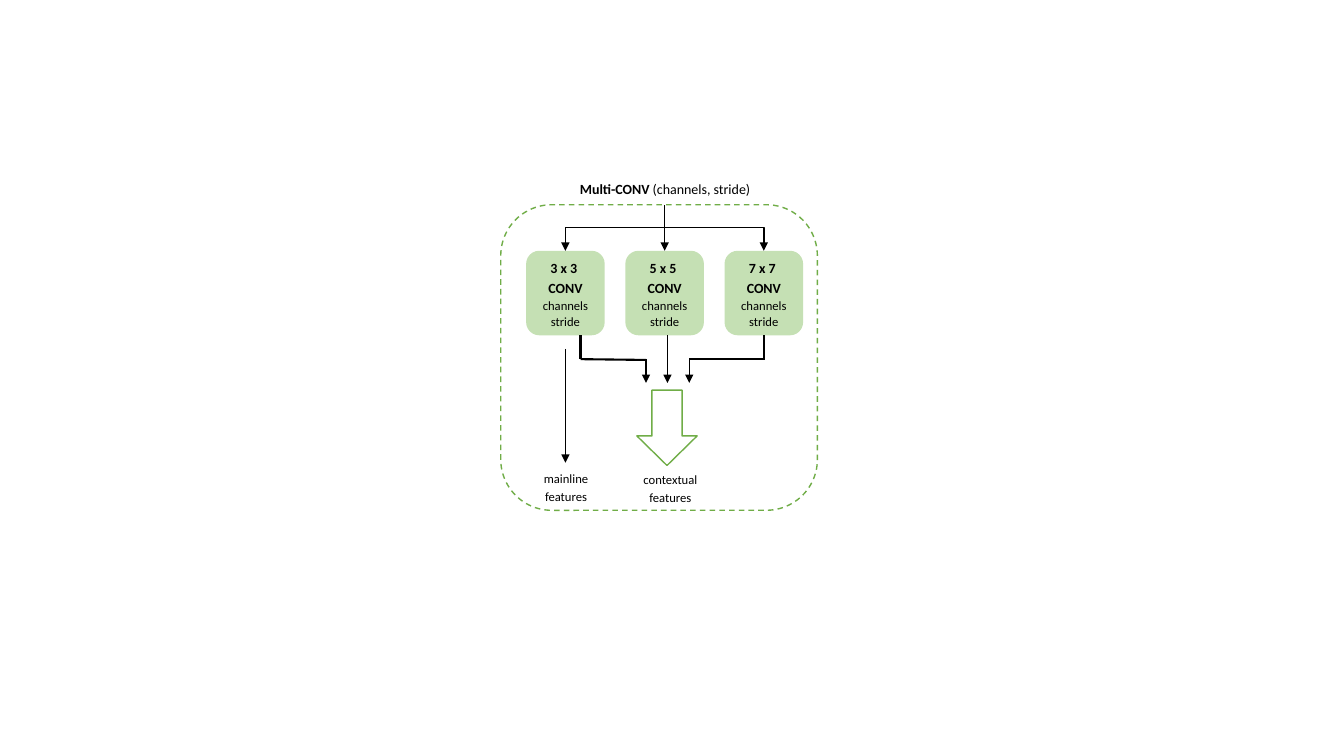
"""Build the Multi-CONV block diagram slide."""
from lxml import etree
from pptx import Presentation
from pptx import util as u
from pptx.dml.color import RGBColor
from pptx.enum import dml, shapes, text
from pptx.oxml.ns import qn

COLOURS = {"ink": "000000", "paper": "FFFFFF", "edge": "70AD47", "conv": "C5E0B4"}
FONT = "Calibri"
HEADING = [("Multi-CONV ", True), ("(channels, stride)", False)]
KERNELS = ["3 x 3 ", "5 x 5 ", "7 x 7 "]
PARAMETERS = ["channels", "stride"]
FEATURES = [
    (["mainline", "features"], (12.88, 11.66, 2.77, 1.14)),
    (["contextual", "features"], (15.37, 11.68, 3.05, 1.14)),
]

FRAME = (12.62, 5.16, 7.98, 7.7)
HEADING_BOX = (13.89, 4.39, 5.74, 0.69)
CONTEXT_ARROW = (16.05, 9.83, 1.52, 1.9)
CONV_TOP, CONV_WIDTH, CONV_HEIGHT = 6.32, 1.98, 2.13
CENTRES = [14.25 + 2.5 * index for index in range(len(KERNELS))]
LEFT, MIDDLE, RIGHT = CENTRES
CONV_BOTTOM = CONV_TOP + CONV_HEIGHT
SPLIT_Y, MERGE_Y, MERGE_END = 5.74, 9.05, 9.65
MERGE_LEFT, MERGE_MIDDLE, MERGE_RIGHT = 16.28, 16.82, 17.37
SIDE_EXIT = 14.63

ARROWS = [
    (MIDDLE, FRAME[1], MIDDLE, CONV_TOP),
    (LEFT, 8.79, LEFT, 11.66),
    (MERGE_MIDDLE, CONV_BOTTOM, MERGE_MIDDLE, MERGE_END),
    (MERGE_LEFT, MERGE_Y, MERGE_LEFT, MERGE_END),
    (MERGE_RIGHT, MERGE_Y, MERGE_RIGHT, MERGE_END),
]
JOINS = [
    (MERGE_LEFT, MERGE_Y + 0.02, SIDE_EXIT, MERGE_Y),
    (RIGHT, MERGE_Y, MERGE_RIGHT, MERGE_Y),
    (RIGHT, MERGE_Y + 0.02, RIGHT, CONV_BOTTOM),
    (SIDE_EXIT, MERGE_Y, SIDE_EXIT, CONV_BOTTOM - 0.02),
]


def colour(name):
    return RGBColor.from_string(COLOURS[name])


def cm(values):
    return [u.Cm(value) for value in values]


def add_block(slide, preset, box, fill, edge=None):
    block = slide.shapes.add_shape(preset, *cm(box))
    block.shadow.inherit = False
    block.fill.solid()
    block.fill.fore_color.rgb = colour(fill)
    if edge:
        block.line.color.rgb = colour(edge)
        block.line.width = u.Pt(1)
    else:
        block.line.fill.background()
    return block


def add_link(slide, ends, width=1, arrow=True, bent=False):
    kind = shapes.MSO_CONNECTOR.ELBOW if bent else shapes.MSO_CONNECTOR.STRAIGHT
    link = slide.shapes.add_connector(kind, *cm(ends))
    link.line.color.rgb = colour("ink")
    link.line.width = u.Pt(width)
    properties = link._element.spPr
    if bent:
        properties.find(qn("a:prstGeom")).set("prst", "bentConnector2")
    if arrow:
        etree.SubElement(properties.find(qn("a:ln")), qn("a:tailEnd"), type="triangle")
    etree.SubElement(properties, qn("a:effectLst"))


def write_lines(frame, lines):
    """Write (runs, size, spacing) lines, where runs are (words, bold) pairs."""
    frame.word_wrap = True
    for index, (runs, size, spacing) in enumerate(lines):
        line = frame.add_paragraph() if index else frame.paragraphs[0]
        line.alignment = text.PP_ALIGN.CENTER
        line.line_spacing = u.Pt(spacing)
        line.space_before = u.Pt(0)
        line.font.name = FONT
        line.font.size = u.Pt(size)
        line.font.color.rgb = colour("ink")
        for words, bold in runs:
            run = line.add_run()
            run.text = words
            run.font.bold = bold


def add_heading(slide):
    heading = slide.shapes.title
    heading.left, heading.top, heading.width, heading.height = cm(HEADING_BOX)
    heading.text_frame.auto_size = text.MSO_AUTO_SIZE.NONE
    heading.text_frame.vertical_anchor = text.MSO_ANCHOR.TOP
    write_lines(heading.text_frame, [(HEADING, 10, 13)])


def main():
    deck = Presentation()
    deck.slide_width, deck.slide_height = cm((33.87, 19.05))
    slide = deck.slides.add_slide(deck.slide_layouts[5])
    add_heading(slide)

    rounded = shapes.MSO_SHAPE.FLOWCHART_ALTERNATE_PROCESS
    module = add_block(slide, rounded, FRAME, "paper", "edge")
    module.line.dash_style = dml.MSO_LINE.DASH

    for kernel, centre in zip(KERNELS, CENTRES):
        box = (centre - CONV_WIDTH / 2, CONV_TOP, CONV_WIDTH, CONV_HEIGHT)
        conv = add_block(slide, rounded, box, "conv")
        lines = [([(words, True)], 10, 14) for words in (kernel, "CONV")]
        lines += [([(words, False)], 9, 12) for words in PARAMETERS]
        write_lines(conv.text_frame, lines)

    for centre in (LEFT, RIGHT):
        add_link(slide, (MIDDLE, SPLIT_Y, centre, CONV_TOP), bent=True)
    for ends in ARROWS:
        add_link(slide, ends)
    context = add_block(slide, shapes.MSO_SHAPE.DOWN_ARROW, CONTEXT_ARROW, "paper", "edge")
    context.adjustments[0], context.adjustments[1] = 0.5, 0.49
    for ends in JOINS:
        add_link(slide, ends, width=1.5, arrow=False)

    for words, box in FEATURES:
        feature = slide.shapes.add_textbox(*cm(box))
        write_lines(feature.text_frame, [([(word, False)], 9, 13) for word in words])

    deck.save("out.pptx")


if __name__ == "__main__":
    main()
